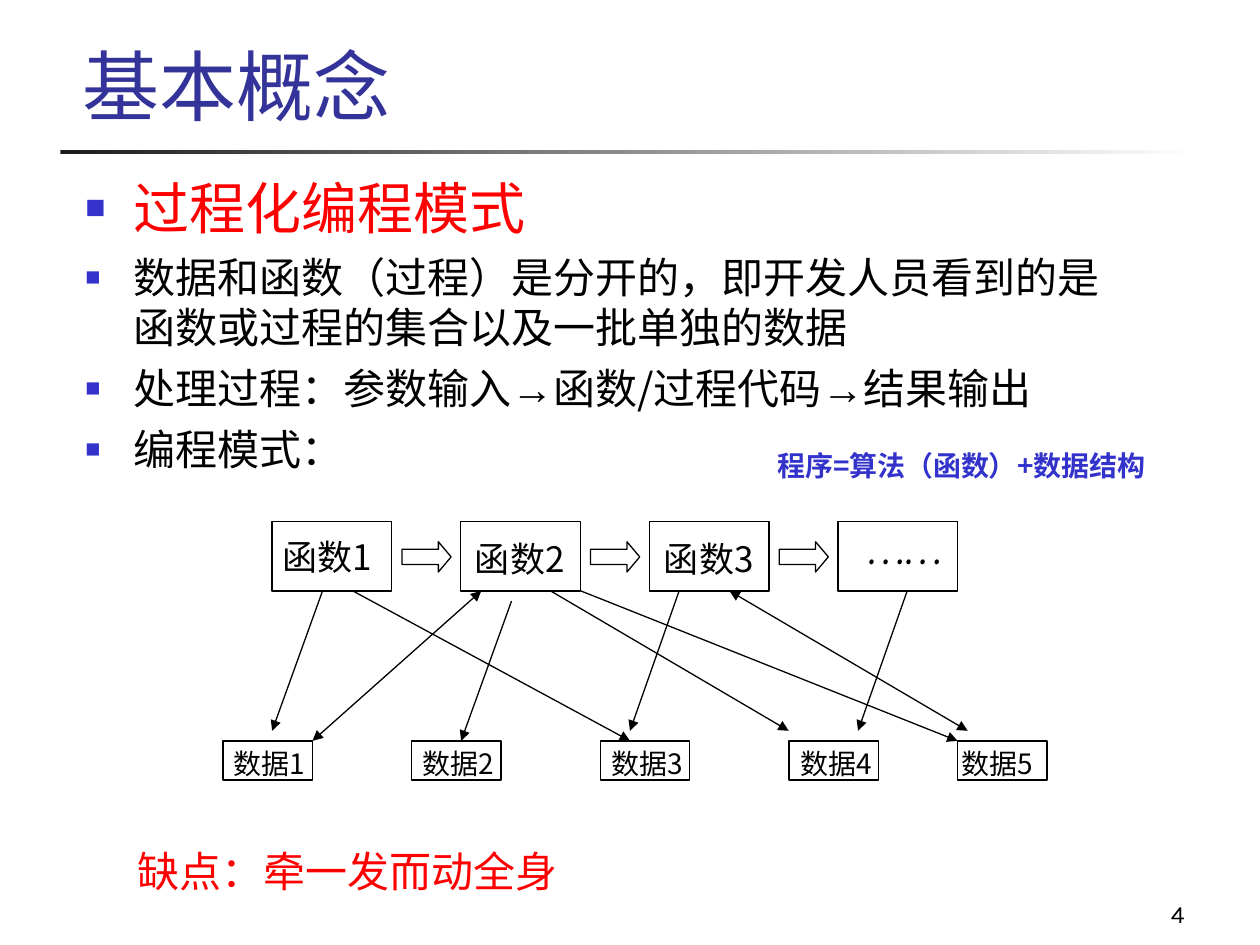
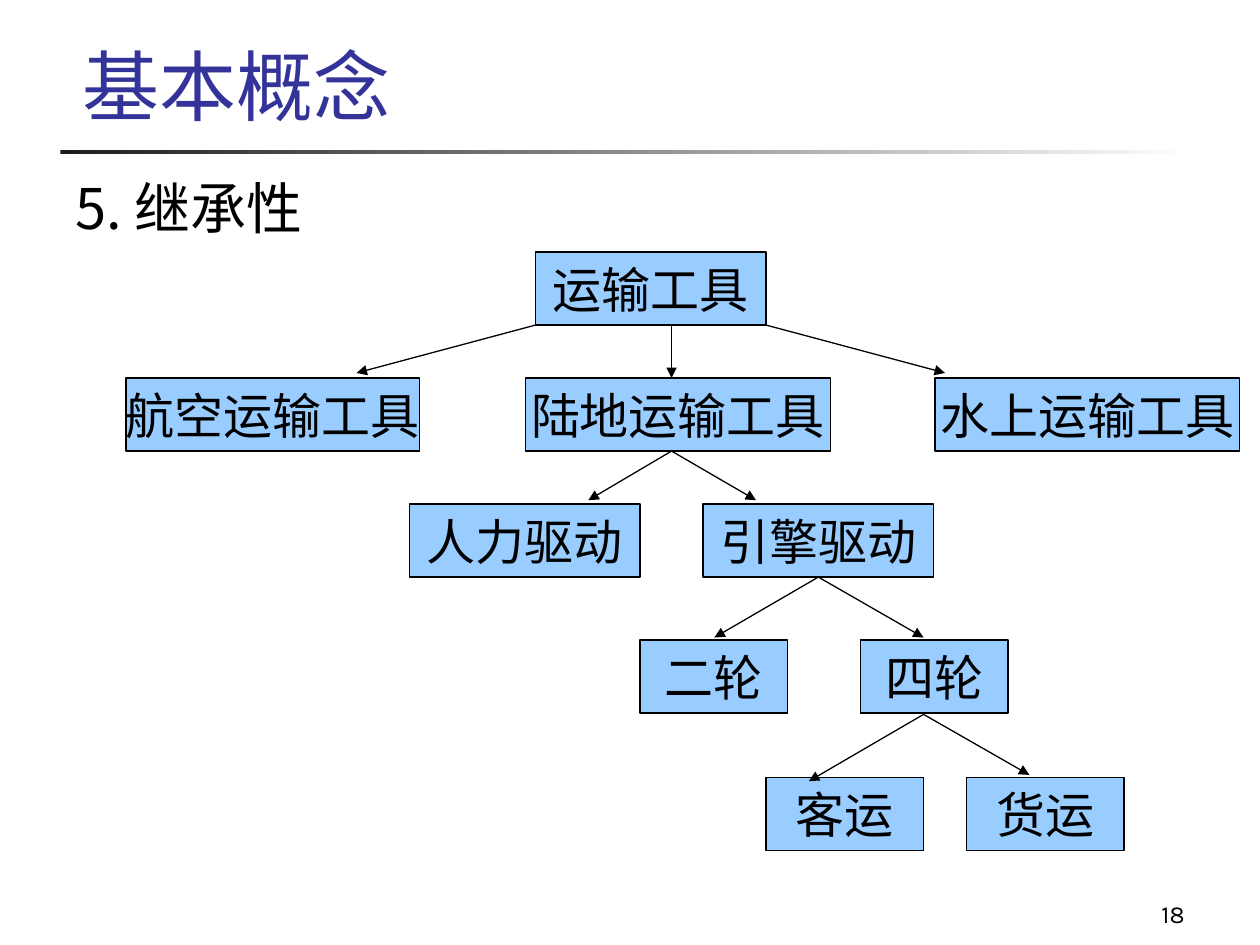
from lxml import etree
from pptx import Presentation
from pptx.dml.color import RGBColor
from pptx.enum.shapes import MSO_CONNECTOR, MSO_SHAPE
from pptx.enum.text import MSO_ANCHOR, MSO_AUTO_SIZE, PP_ALIGN
from pptx.oxml.ns import qn
from pptx.util import Inches, Pt

CJK, LATIN, COMIC = "Noto Sans CJK JP", "Karla", "Comic Neue"
BLACK, RED, BLUE, TITLE_BLUE = "000000", "FF0000", "3333CC", "333399"
NODE_BLUE, BAR_DARK, WHITE = "99CCFF", "1C1C1C", "FFFFFF"


def rgb(value):
    return RGBColor.from_string(value)


def set_typeface(font, latin, east=CJK):
    """Set the Latin and the East Asian typeface."""
    font.name = latin
    etree.SubElement(font._rPr, qn("a:ea")).set("typeface", east)


def style(para, size, color=BLACK, latin=CJK, east=CJK, align=PP_ALIGN.LEFT,
          before=0, indent=None, bullet=False, bold=False):
    """Format a paragraph; indent is (left margin, first line) in inches."""
    para.alignment = align
    para.line_spacing = Pt(1.2 * size)
    para.space_before = Pt(before)
    props = para._p.get_or_add_pPr()
    if indent:
        props.set("marL", str(Inches(indent[0])))
        props.set("indent", str(Inches(indent[1])))
    if bullet:
        tint = etree.SubElement(props, qn("a:buClr"))
        etree.SubElement(tint, qn("a:srgbClr")).set("val", BLUE)
        for tag, key, value in (("a:buSzPct", "val", "60000"),
                                ("a:buFont", "typeface", "Arial"),
                                ("a:buChar", "char", "■")):
            etree.SubElement(props, qn(tag)).set(key, value)
    para.font.size = Pt(size)
    para.font.bold = bold
    para.font.color.rgb = rgb(color)
    set_typeface(para.font, latin, east)


def add_text(page, bounds, text, size, anchor=MSO_ANCHOR.TOP, **look):
    box = page.shapes.add_textbox(*map(Inches, bounds))
    frame = box.text_frame
    frame.word_wrap = True
    frame.vertical_anchor = anchor
    frame.text = text
    style(frame.paragraphs[0], size, **look)
    return frame


def add_label(page, bounds, text, size, **look):
    """Add an unwrapped, centred label with a hanging indent."""
    frame = add_text(page, bounds, text, size, align=PP_ALIGN.CENTER,
                     before=size / 4, indent=(1.08, -0.58), **look)
    frame.margin_left = frame.margin_right = 0
    frame.word_wrap = False
    frame.auto_size = MSO_AUTO_SIZE.SHAPE_TO_FIT_TEXT


def add_outlined(page, bounds, kind=MSO_SHAPE.RECTANGLE, fill=None):
    shape = page.shapes.add_shape(kind, *map(Inches, bounds))
    shape.shadow.inherit = False
    if fill:
        shape.fill.solid()
        shape.fill.fore_color.rgb = rgb(fill)
    else:
        shape.fill.background()
    shape.line.color.rgb = rgb(BLACK)
    shape.line.width = Pt(0.75)
    return shape


def add_node(page, bounds, text):
    node = add_outlined(page, bounds, fill=NODE_BLUE)
    frame = node.text_frame
    frame.word_wrap = False
    frame.vertical_anchor = MSO_ANCHOR.MIDDLE
    frame.text = text
    style(frame.paragraphs[0], 28, latin=LATIN, align=PP_ALIGN.CENTER)
    return node


def add_arrow(page, start, end, both_ends=False):
    arrow = page.shapes.add_connector(MSO_CONNECTOR.STRAIGHT,
                                      *map(Inches, start + end))
    arrow.line.color.rgb = rgb(BLACK)
    arrow.line.width = Pt(0.75)
    line = arrow.line._get_or_add_ln()
    for tag in ("a:headEnd", "a:tailEnd") if both_ends else ("a:tailEnd",):
        etree.SubElement(line, qn(tag)).set("type", "triangle")
    etree.SubElement(arrow._element.spPr, qn("a:effectLst"))
    return arrow


def add_page(deck, number):
    """Add a slide with the shared title, rule and page number."""
    page = deck.slides.add_slide(deck.slide_layouts[6])
    rule = page.shapes.add_shape(MSO_SHAPE.RECTANGLE,
                                 *map(Inches, (0.48, 1.19, 9, 0.03)))
    rule.shadow.inherit = False
    rule.line.fill.background()
    rule.fill.gradient()
    rule.fill.gradient_angle = 0
    for stop, position, color in zip(rule.fill.gradient_stops, (0, 1),
                                     (BAR_DARK, WHITE)):
        stop.position = position
        stop.color.rgb = rgb(color)
    add_text(page, (0.56, 0.17, 8.52, 0.92), "基本概念", 44,
             anchor=MSO_ANCHOR.BOTTOM, color=TITLE_BLUE)
    add_text(page, (7.42, 6.92, 2.08, 0.5), str(number), 14,
             anchor=MSO_ANCHOR.BOTTOM, latin=LATIN, align=PP_ALIGN.RIGHT)
    return page


def add_bullets(page):
    listed = dict(indent=(0.38, -0.38), bullet=True)
    frame = add_text(page, (0.58, 1.33, 8.5, 2.57), "过程化编程模式", 32,
                     color=RED, before=8, **listed)
    points = (
        ["数据和函数（过程）是分开的，即开发人员看到的是函数或过程的集合以及一批单独的数据"],
        ["处理过程：参数输入", "→", "函数/过程代码", "→", "结果输出"],
        ["编程模式："],
    )
    for pieces in points:
        para = frame.add_paragraph()
        style(para, 24, before=6, **listed)
        for piece in pieces:
            span = para.add_run()
            span.text = piece
            if piece == "→":
                set_typeface(span.font, "Arial", "Arial")


def build_procedural(deck):
    page = add_page(deck, 4)
    add_bullets(page)

    step, func_left, func_bottom, data_top = 1.497, 2.16, 4.69, 5.88
    for i in range(4):
        add_outlined(page, (func_left + i * step, 4.14, 0.95, 0.55))
    for i in range(3):
        flow = add_outlined(page, (3.19 + i * step, 4.3, 0.39, 0.24),
                            MSO_SHAPE.RIGHT_ARROW)
        flow.adjustments[1] = 0.42
    for i, (left, top) in enumerate(((1.12, 4.2), (2.65, 4.22), (4.15, 4.22)), 1):
        add_label(page, (left, top, 2.45, 0.44), f"函数{i}", 20)
    add_label(page, (5.8, 3.99, 2.26, 0.64), "……", 32, latin=COMIC, east=COMIC)

    data_lefts = [1.77 + i * step for i in range(4)] + [7.6]
    label_lefts = [0.74 + i * 1.5 for i in range(4)] + [6.52]
    for i, (left, label_left) in enumerate(zip(data_lefts, label_lefts), 1):
        add_outlined(page, (left, data_top, 0.71, 0.31))
        add_label(page, (label_left, data_top, 2.29, 0.37), f"数据{i}", 16)

    for start_x, end_x, end_y, both_ends in (
            (2.56, 2.16, 5.8, False), (2.8, 5, data_top, False),
            (3.82, 2.48, data_top, True), (4.37, 6.26, 5.8, False),
            (4.61, 7.6, data_top, False), (5.39, 5, 5.8, False),
            (5.79, 7.68, 5.8, True), (7.2, 6.81, 5.8, False)):
        add_arrow(page, (start_x, func_bottom), (end_x, end_y), both_ends)
    add_arrow(page, (4.06, 4.77), (3.66, data_top))

    add_label(page, (0.01, 6.66, 5, 0.5), "缺点：牵一发而动全身", 24,
              color=RED, latin=COMIC)
    formula = add_text(page, (6.07, 3.51, 3.34, 0.37),
                       "程序=算法（函数）+数据结构", 16, color=BLUE, before=4,
                       latin="Noto Sans CJK SC", east="Noto Sans CJK SC",
                       bold=True)
    formula.word_wrap = False


def build_inheritance(deck):
    page = add_page(deck, 18)
    add_text(page, (0.5, 1.33, 9.29, 0.75), "5. 继承性", 32,
             before=8, indent=(0.67, -0.67))

    levels = (
        (2, [("运输工具", 4.25, 1.83)]),
        (3, [("航空运输工具", 1, 2.33), ("陆地运输工具", 4.17, 2.42),
             ("水上运输工具", 7.42, 2.42)]),
        (4, [("人力驱动", 3.25, 1.83), ("引擎驱动", 5.58, 1.83)]),
        (5.08, [("二轮", 5.08, 1.17), ("四轮", 6.83, 1.17)]),
        (6.17, [("客运", 6.08, 1.25), ("货运", 7.67, 1.25)]),
    )
    nodes = {text: add_node(page, (left, top, width, 0.58), text)
             for top, row in levels for text, left, width in row}

    for start, end in (
            ((4.25, 2.58), (2.83, 2.96)), ((5.33, 2.58), (5.33, 3)),
            ((6.08, 2.58), (7.5, 2.96)),
            ((5.33, 3.58), (4.67, 3.97)), ((5.33, 3.58), (6, 3.97)),
            ((7.33, 5.67), (6.42, 6.2)), ((7.33, 5.67), (8.17, 6.15))):
        add_arrow(page, start, end)
    for end_x in (5.67, 7.33):
        branch = add_arrow(page, (6.5, 4.58), (end_x, 5.06))
        branch.begin_connect(nodes["引擎驱动"], 2)


def main():
    deck = Presentation()
    deck.slide_width, deck.slide_height = Inches(10), Inches(7.5)
    build_procedural(deck)
    build_inheritance(deck)
    deck.save("out.pptx")


if __name__ == "__main__":
    main()
